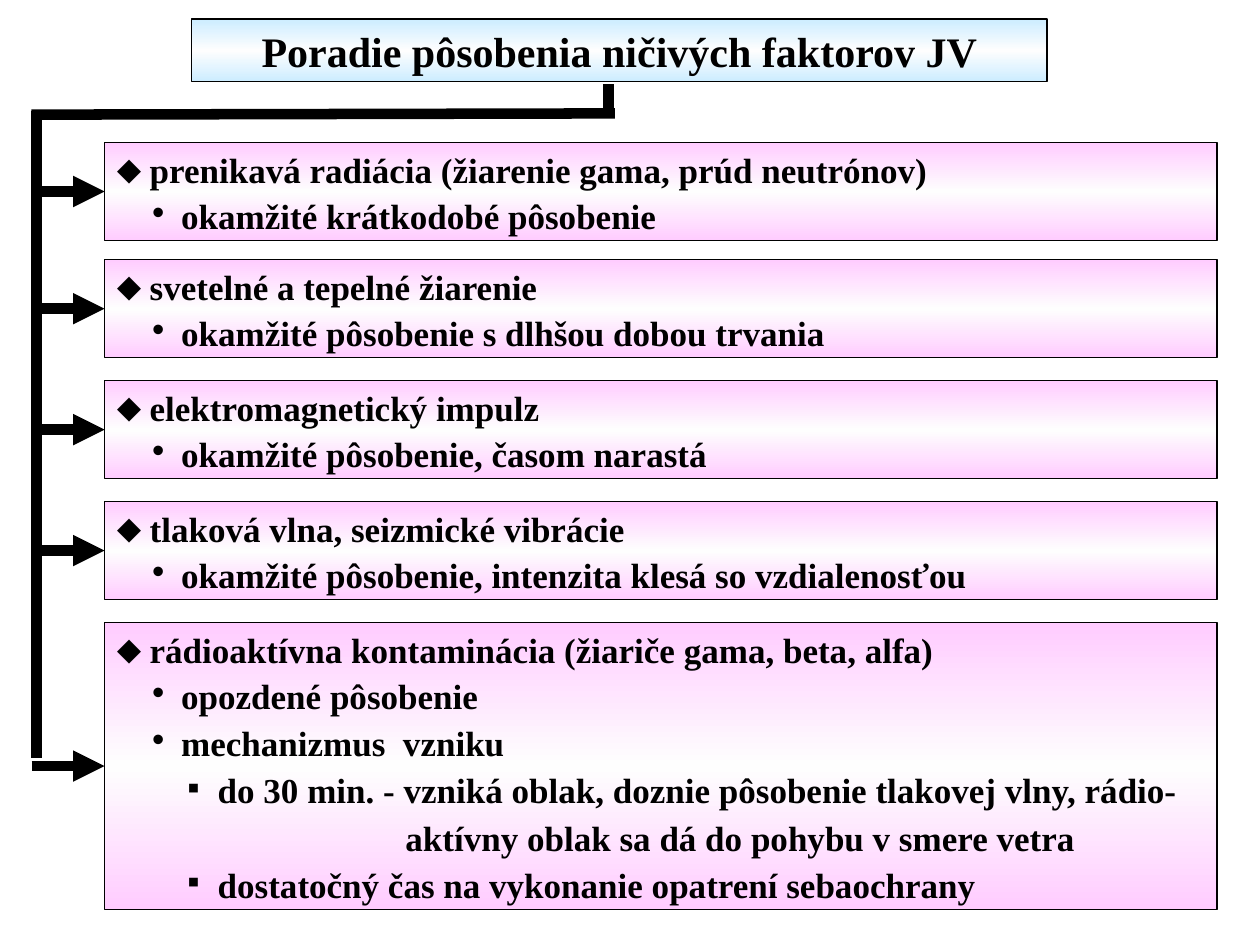
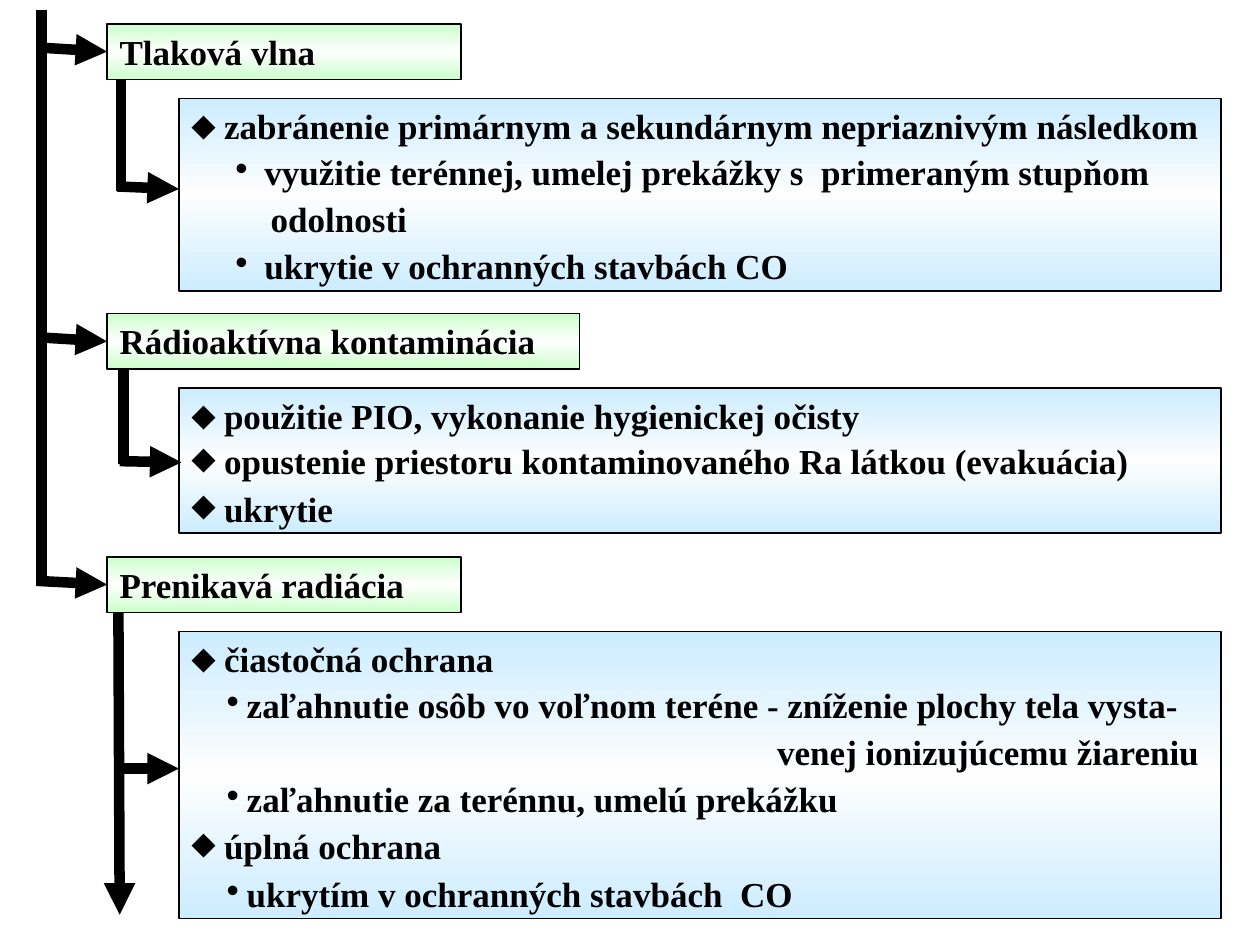
from copy import deepcopy

from lxml import etree
from pptx import Presentation
from pptx.dml.color import RGBColor
from pptx.enum.shapes import MSO_CONNECTOR, MSO_SHAPE
from pptx.enum.text import MSO_ANCHOR, MSO_AUTO_SIZE, PP_ALIGN
from pptx.oxml.ns import qn
from pptx.util import Inches, Pt

RECT = MSO_SHAPE.RECTANGLE
STRAIGHT = MSO_CONNECTOR.STRAIGHT
TOP = MSO_ANCHOR.TOP
LEFT, CENTER = PP_ALIGN.LEFT, PP_ALIGN.CENTER
NO_FIT = MSO_AUTO_SIZE.NONE
LEFT_SIDE = 1

BLACK = RGBColor(0x00, 0x00, 0x00)
WHITE = RGBColor(0xFE, 0xFE, 0xFE)
PINK = RGBColor(0xFF, 0xCC, 0xFF)
BLUE = RGBColor(0xCC, 0xEC, 0xFF)
GREEN = RGBColor(0xCC, 0xFF, 0xCC)
TEXT_FONT, BULLET_FONT = "Times New Roman", "Arial"

# Paragraph levels: bullet, bullet offset, text offset (inches)
LEVELS = {
    "plain": (None, 0, 0),
    "main": ("⬥", 0, 0.26),
    "point": ("•", 0.28, 0.51),
    "deep_point": ("•", 0.35, 0.58),
    "tight_point": ("•", 0.28, 0.44),
    "detail": ("▪", 0.56, 0.8),
    "after_time": (None, 2.29, 2.29),
    "after_point": (None, 0.63, 0.63),
    "after_dash": (None, 4.65, 4.65),
}

# Slide 1: title, then (top, height, paragraphs) of each factor
TITLE = "Poradie pôsobenia ničivých faktorov JV"
FACTORS = [
    (1.13, 0.78, [("main", "prenikavá radiácia (žiarenie gama, prúd neutrónov)"),
                  ("point", "okamžité krátkodobé pôsobenie")]),
    (2.06, 0.78, [("main", "svetelné a tepelné žiarenie"),
                  ("point", "okamžité pôsobenie s dlhšou dobou trvania")]),
    (3.02, 0.78, [("main", "elektromagnetický impulz"),
                  ("point", "okamžité pôsobenie, časom narastá")]),
    (3.98, 0.78, [("main", "tlaková vlna, seizmické vibrácie"),
                  ("point", "okamžité pôsobenie, intenzita klesá so vzdialenosťou")]),
    (4.94, 2.28, [("main", "rádioaktívna kontaminácia (žiariče gama, beta, alfa)"),
                  ("point", "opozdené pôsobenie"),
                  ("point", "mechanizmus  vzniku"),
                  ("detail", "do 30 min. - vzniká oblak, doznie pôsobenie tlakovej vlny, rádio-"),
                  ("after_time", "aktívny oblak sa dá do pohybu v smere vetra"),
                  ("detail", "dostatočný čas na vykonanie opatrení sebaochrany")]),
]

# Slide 2: heading, its top and width, arrow start x, height of the measures box, measures
PROTECTION = [
    ("Tlaková vlna", 0.19, 2.81, 0.35, 1.53, [
        ("main", "zabránenie primárnym a sekundárnym nepriaznivým následkom"),
        ("deep_point", "využitie terénnej, umelej prekážky s  primeraným stupňom"),
        ("after_point", "odolnosti"),
        ("deep_point", "ukrytie v ochranných stavbách CO")]),
    ("Rádioaktívna kontaminácia", 2.49, 3.75, 0.35, 1.15, [
        ("main", "použitie PIO, vykonanie hygienickej očisty"),
        ("main", "opustenie priestoru kontaminovaného Ra látkou (evakuácia)"),
        ("main", "ukrytie")]),
    ("Prenikavá radiácia", 4.42, 2.81, 0.29, 2.28, [
        ("main", "čiastočná ochrana"),
        ("tight_point", "zaľahnutie osôb vo voľnom teréne - zníženie plochy tela vysta-"),
        ("after_dash", "venej ionizujúcemu žiareniu"),
        ("tight_point", "zaľahnutie za terénnu, umelú prekážku"),
        ("main", "úplná ochrana"),
        ("tight_point", "ukrytím v ochranných stavbách  CO")]),
]
# Lines from a heading to its measures: start, end, arrowhead
BRANCHES = [
    ((0.96, 0.63), (0.96, 1.52), False),
    ((0.93, 1.48), (1.42, 1.5), True),
    ((0.98, 2.93), (0.98, 3.68), False),
    ((0.95, 3.66), (1.44, 3.67), True),
    ((0.94, 4.86), (0.95, 7.26), True),
    ((0.92, 6.1), (1.42, 6.1), True),
]


def style_box(sp, colour):
    """Vertical gradient colour-white-colour with a thin black outline."""
    sp.fill.gradient()
    stops = sp._element.spPr.find(qn("a:gradFill")).find(qn("a:gsLst"))
    stops.append(deepcopy(stops[0]))
    for i, stop in enumerate(sp.fill.gradient_stops):
        stop.position = i / 2
        stop.color.rgb = WHITE if i == 1 else colour
    sp.fill.gradient_angle = 270
    sp.line.color.rgb = BLACK
    sp.line.width = Pt(0.75)


def add_text(sp, paragraphs, size=20, align=LEFT):
    tf = sp.text_frame
    tf.word_wrap = True
    tf.auto_size = NO_FIT
    tf.vertical_anchor = TOP
    for i, (level, text) in enumerate(paragraphs):
        p = tf.add_paragraph() if i else tf.paragraphs[0]
        bullet, start, text_start = LEVELS[level]
        pPr = p._p.get_or_add_pPr()
        pPr.set("marL", str(Inches(text_start)))
        pPr.set("indent", str(Inches(start) - Inches(text_start)))
        if bullet:
            etree.SubElement(pPr, qn("a:buFont")).set("typeface", BULLET_FONT)
            etree.SubElement(pPr, qn("a:buChar")).set("char", bullet)
        else:
            etree.SubElement(pPr, qn("a:buNone"))
        p.alignment = align
        if i:
            p.line_spacing = 0.5
            p.space_before = Pt(12.5)
            p.space_after = Pt(2.5)
        r = p.add_run()
        r.text = text
        r.font.name = TEXT_FONT
        r.font.size = Pt(size)
        r.font.bold = True
        r.font.color.rgb = BLACK


def add_box(s, x, y, w, h, colour, paragraphs):
    sp = s.shapes.add_shape(RECT, Inches(x), Inches(y), Inches(w), Inches(h))
    sp.shadow.inherit = False
    style_box(sp, colour)
    add_text(sp, paragraphs)
    return sp


def add_line(s, start, end, arrow=False, target=None):
    line = s.shapes.add_connector(STRAIGHT, *map(Inches, start + end))
    line.line.color.rgb = BLACK
    line.line.width = Pt(6)
    if arrow:
        etree.SubElement(line.line._get_or_add_ln(), qn("a:tailEnd")).set("type", "triangle")
    etree.SubElement(line._element.spPr, qn("a:effectLst"))
    if target is not None:
        line.end_connect(target, LEFT_SIDE)


def build_factors(prs):
    s = prs.slides.add_slide(prs.slide_layouts[5])
    title = s.shapes.title
    title.left, title.top = Inches(1.52), Inches(0.15)
    title.width, title.height = Inches(6.79), Inches(0.5)
    style_box(title, BLUE)
    add_text(title, [("plain", TITLE)], size=24, align=CENTER)

    # Factor boxes, each with an arrow from the trunk
    for y, h, paragraphs in FACTORS:
        box = add_box(s, 0.83, y, 8.83, h, PINK, paragraphs)
        middle = y + h / 2
        add_line(s, (0.25, middle), (0.83, middle), True, box)

    # Trunk from the title down the left edge
    add_line(s, (4.83, 0.67), (4.83, 0.92))
    add_line(s, (4.88, 0.9), (0.25, 0.91))
    add_line(s, (0.29, 0.88), (0.29, 6.02))


def build_protection(prs):
    s = prs.slides.add_slide(prs.slide_layouts[6])
    # Heading, arrow from the trunk and measures below
    for name, y, w, arrow_x, measures_h, measures in PROTECTION:
        heading = add_box(s, 0.85, y, w, 0.44, GREEN, [("plain", name)])
        add_box(s, 1.42, y + 0.59, 8.27, measures_h, BLUE, measures)
        middle = y + 0.22
        add_line(s, (arrow_x, middle - 0.03), (0.85, middle), True, heading)

    # Trunk and branches
    add_line(s, (0.33, 0.08), (0.33, 4.65))
    for start, end, arrow in BRANCHES:
        add_line(s, start, end, arrow)


def main():
    prs = Presentation()
    prs.slide_width, prs.slide_height = Inches(10), Inches(7.5)
    build_factors(prs)
    build_protection(prs)
    prs.save("out.pptx")


if __name__ == "__main__":
    main()
